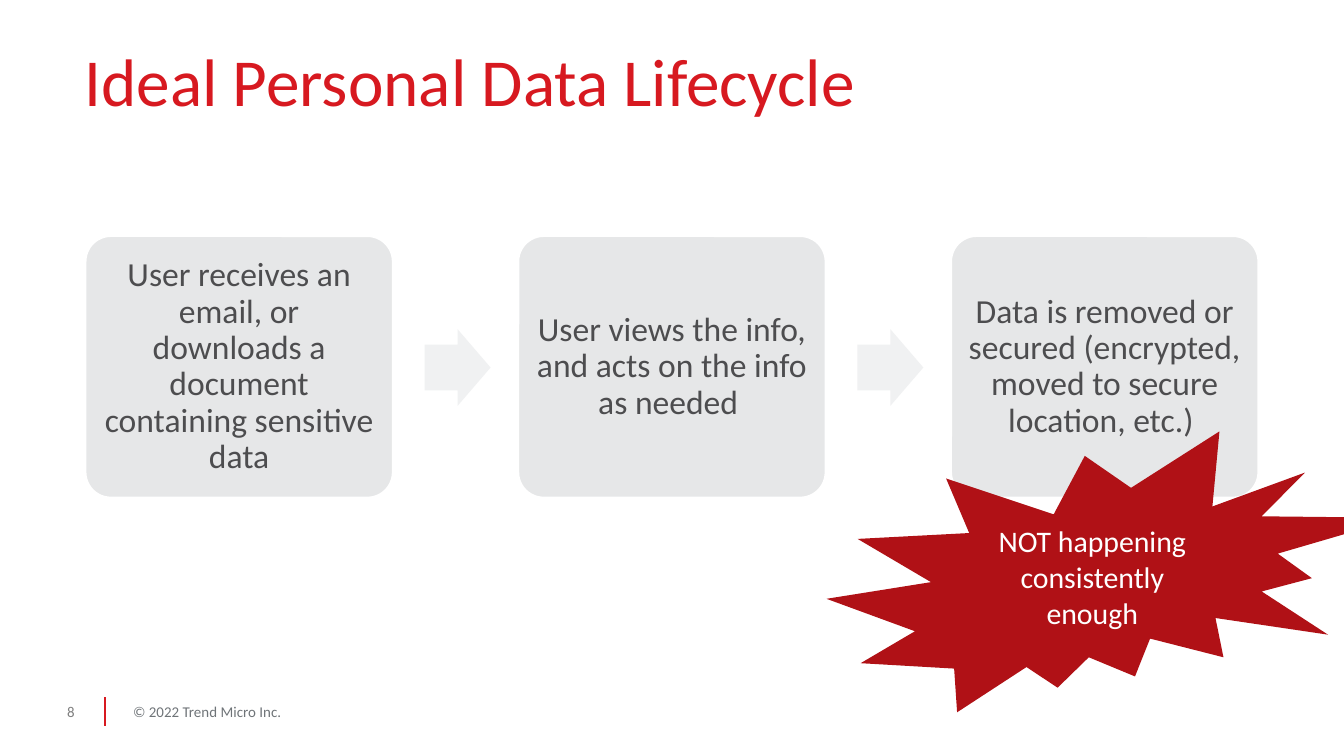
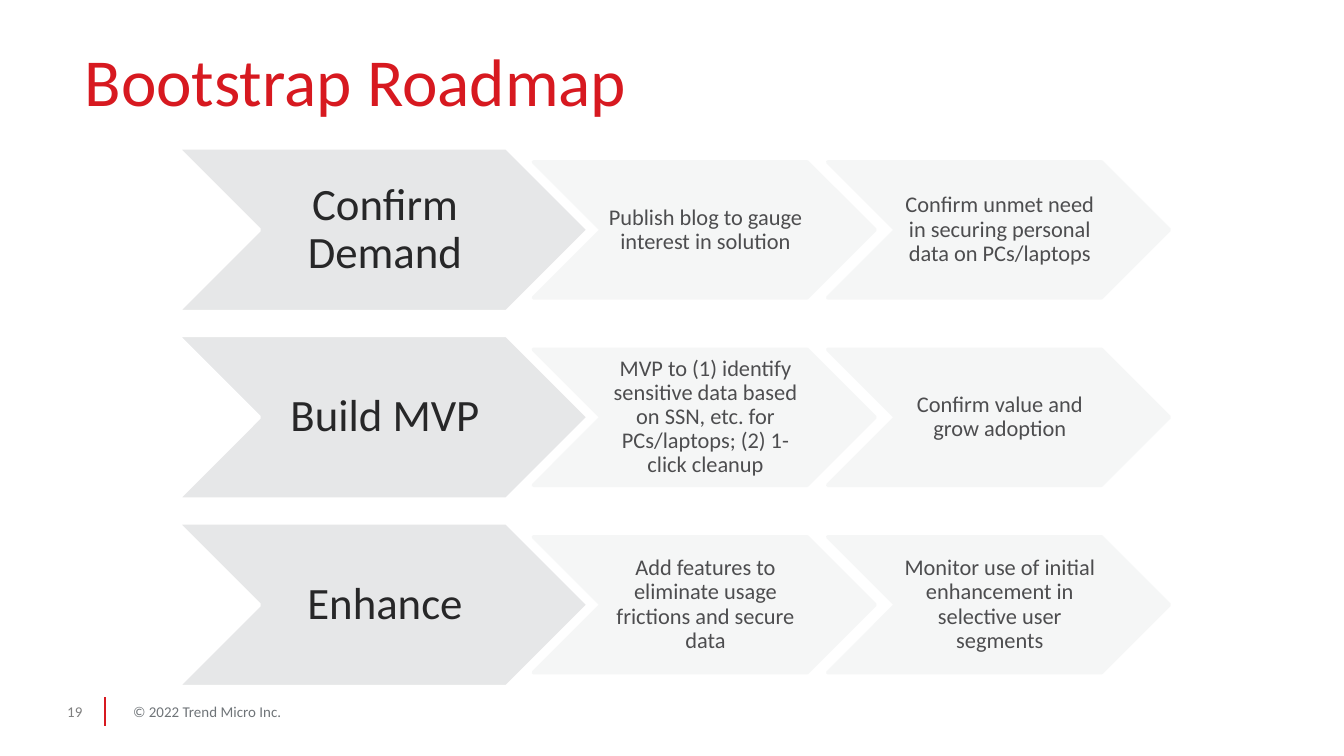
from lxml import etree
from pptx import Presentation
from pptx.dml.color import RGBColor
from pptx.enum.shapes import MSO_CONNECTOR, MSO_SHAPE
from pptx.enum.text import MSO_ANCHOR as Anchor, MSO_AUTO_SIZE, PP_ALIGN as Align
from pptx.oxml.ns import qn
from pptx.util import Inches, Pt

RED = RGBColor(0xD7, 0x19, 0x20)
DARK_RED = RGBColor(0xB0, 0x11, 0x16)
WHITE = RGBColor(0xFF, 0xFF, 0xFF)
GRAY = RGBColor(0xE6, 0xE7, 0xE8)
ARROW_GRAY = RGBColor(0xF0, 0xF1, 0xF2)
PALE_GRAY = RGBColor(0xF5, 0xF6, 0xF6)
INK = RGBColor(0x27, 0x27, 0x28)
TEXT_GRAY = RGBColor(0x4D, 0x4D, 0x4F)
FOOTER_GRAY = RGBColor(0x6F, 0x74, 0x78)
NUMBER_GRAY = RGBColor(0x7F, 0x7F, 0x7F)

FONT = "Calibri"
FOOTER = "© 2022 Trend Micro Inc."
TITLE_ONLY_LAYOUT = 5


def write(shape, text, size=18, color=TEXT_GRAY, align=Align.CENTER,
          anchor=Anchor.MIDDLE, insets=(0, 0, 0, 0), wrap=True, spacing=1.0):
    """Put one formatted paragraph in a shape; insets are left, top, right, bottom."""
    frame = shape.text_frame
    frame.word_wrap = wrap
    frame.auto_size = MSO_AUTO_SIZE.NONE
    frame.vertical_anchor = anchor
    (frame.margin_left, frame.margin_top,
     frame.margin_right, frame.margin_bottom) = map(Inches, insets)
    paragraph = frame.paragraphs[0]
    paragraph.text = text
    paragraph.alignment = align
    paragraph.line_spacing = spacing
    font = paragraph.runs[0].font
    font.name, font.size, font.color.rgb = FONT, Pt(size), color


def set_opacity(shape, percent):
    """Make the solid fill and the line of a shape partly transparent."""
    for color in shape._element.spPr.iter(qn("a:srgbClr")):
        etree.SubElement(color, qn("a:alpha"), val=str(percent * 1000))


class Deck:
    """The shared style and the slide being built."""

    def __init__(self):
        self.presentation = Presentation()
        self.presentation.slide_width = Inches(10)
        self.presentation.slide_height = Inches(10 * 9 / 16)
        self.slide = None

    def add_slide(self, title, number):
        layout = self.presentation.slide_layouts[TITLE_ONLY_LAYOUT]
        self.slide = self.presentation.slides.add_slide(layout)
        self.footer(number)
        self.title(title)

    def title(self, text):
        shape = self.slide.shapes.title
        shape.left, shape.top = Inches(0.63), Inches(0.41)
        shape.width, shape.height = Inches(8.75), Inches(0.58)
        write(shape, text, size=36, color=RED, align=Align.LEFT,
              anchor=Anchor.BOTTOM, insets=(0, 0, 0, 0.1))

    def footer(self, number):
        self.line(0.78, 5.19, 0.78, 5.4)
        for text, left, width, color in ((FOOTER, 0.99, 1.67, FOOTER_GRAY),
                                         (str(number), 0.5, 0.25, NUMBER_GRAY)):
            box = self.slide.shapes.add_textbox(
                Inches(left), Inches(5.14), Inches(width), Inches(0.31))
            write(box, text, size=8, color=color, align=Align.LEFT, wrap=False)

    def line(self, x1, y1, x2, y2):
        connector = self.slide.shapes.add_connector(
            MSO_CONNECTOR.STRAIGHT, Inches(x1), Inches(y1), Inches(x2), Inches(y2))
        connector.line.color.rgb = RED
        connector.line.width = Pt(1)
        etree.SubElement(connector._element.spPr, qn("a:effectLst"))

    def shape(self, kind, left, top, width, height, fill, line=None, adjustments=()):
        shape = self.slide.shapes.add_shape(
            kind, Inches(left), Inches(top), Inches(width), Inches(height))
        shape.shadow.inherit = False
        shape.fill.solid()
        shape.fill.fore_color.rgb = fill
        if line is None:
            shape.line.fill.background()
        else:
            shape.line.color.rgb = line
            shape.line.width = Pt(2)
        for index, value in enumerate(adjustments):
            shape.adjustments[index] = value
        return shape


def build_lifecycle(deck):
    deck.add_slide("Ideal Personal Data Lifecycle", 8)
    steps = (
        "User receives an email, or downloads a document containing sensitive data",
        "User views the info, and acts on the info as needed ",
        "Data is removed or secured (encrypted, moved to secure location, etc.) ",
    )
    pitch = 3.22

    # Steps with an arrow before each one but the first
    for index, text in enumerate(steps):
        left = 0.63 + index * pitch
        if index:
            deck.shape(MSO_SHAPE.RIGHT_ARROW, left - 0.69, 2.45, 0.49, 0.57,
                       ARROW_GRAY, adjustments=(0.6, 0.5))
        step = deck.shape(MSO_SHAPE.ROUNDED_RECTANGLE, left, 1.75, 2.3, 1.96,
                          GRAY, line=WHITE, adjustments=(0.1,))
        write(step, text, insets=(0.07,) * 4, spacing=0.9)

    # Warning burst
    burst = deck.shape(MSO_SHAPE.EXPLOSION2, 6.15, 3.21, 4.27, 2.09, DARK_RED)
    write(burst, "NOT happening consistently enough", size=16, color=WHITE,
          insets=(0.1, 0.05, 0.1, 0.05))


def build_roadmap(deck):
    deck.add_slide("Bootstrap Roadmap", 19)
    phases = (
        ("Confirm Demand",
         "Publish blog to gauge interest in solution",
         "Confirm unmet need in securing personal data on PCs/laptops"),
        ("Build MVP",
         "MVP to (1) identify sensitive data based on SSN, etc. for PCs/laptops; "
         "(2) 1-click cleanup",
         "Confirm value and grow adoption"),
        ("Enhance",
         "Add features to eliminate usage frictions and secure data",
         "Monitor use of initial enhancement in selective user segments"),
    )
    phase_height, task_height = 1.22, 1.01
    first_top, last_top = 1.1, 3.89
    row_pitch = (last_top - first_top) / (len(phases) - 1)
    task_pitch = 2.19

    for row, (name, *tasks) in enumerate(phases):
        # Phase name
        top = first_top + row * row_pitch
        phase = deck.shape(MSO_SHAPE.CHEVRON, 1.32, top, 3.06, phase_height,
                           GRAY, line=WHITE)
        write(phase, name, size=24, color=INK,
              insets=(0.03, 0.02, 0, 0.02), spacing=0.9)

        # Tasks, centred on the phase
        task_top = top + (phase_height - task_height) / 2
        for column, text in enumerate(tasks):
            task = deck.shape(MSO_SHAPE.CHEVRON, 3.97 + column * task_pitch, task_top,
                              2.54, task_height, PALE_GRAY, line=PALE_GRAY)
            set_opacity(task, 90)
            write(task, text, size=12, insets=(0.02, 0.01, 0, 0.01), spacing=0.9)


def main():
    deck = Deck()
    build_lifecycle(deck)
    build_roadmap(deck)
    deck.presentation.save("out.pptx")


if __name__ == "__main__":
    main()
